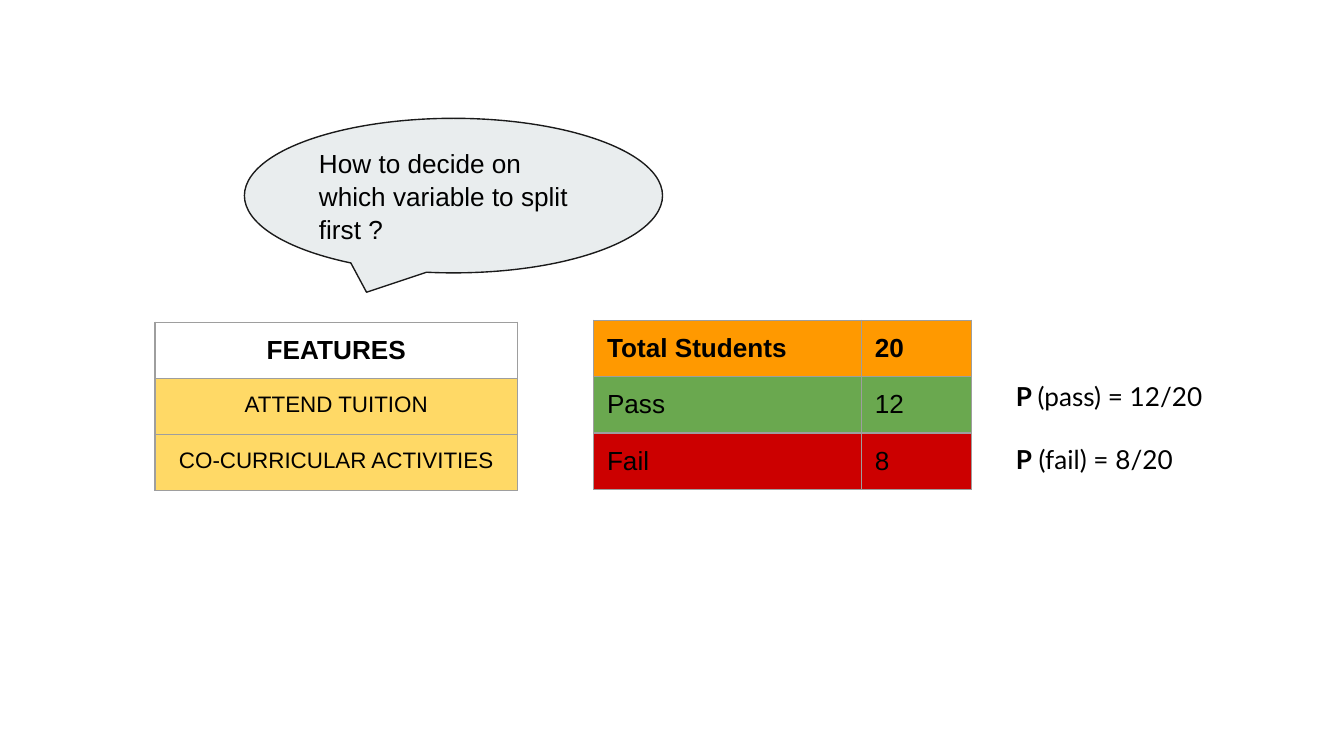
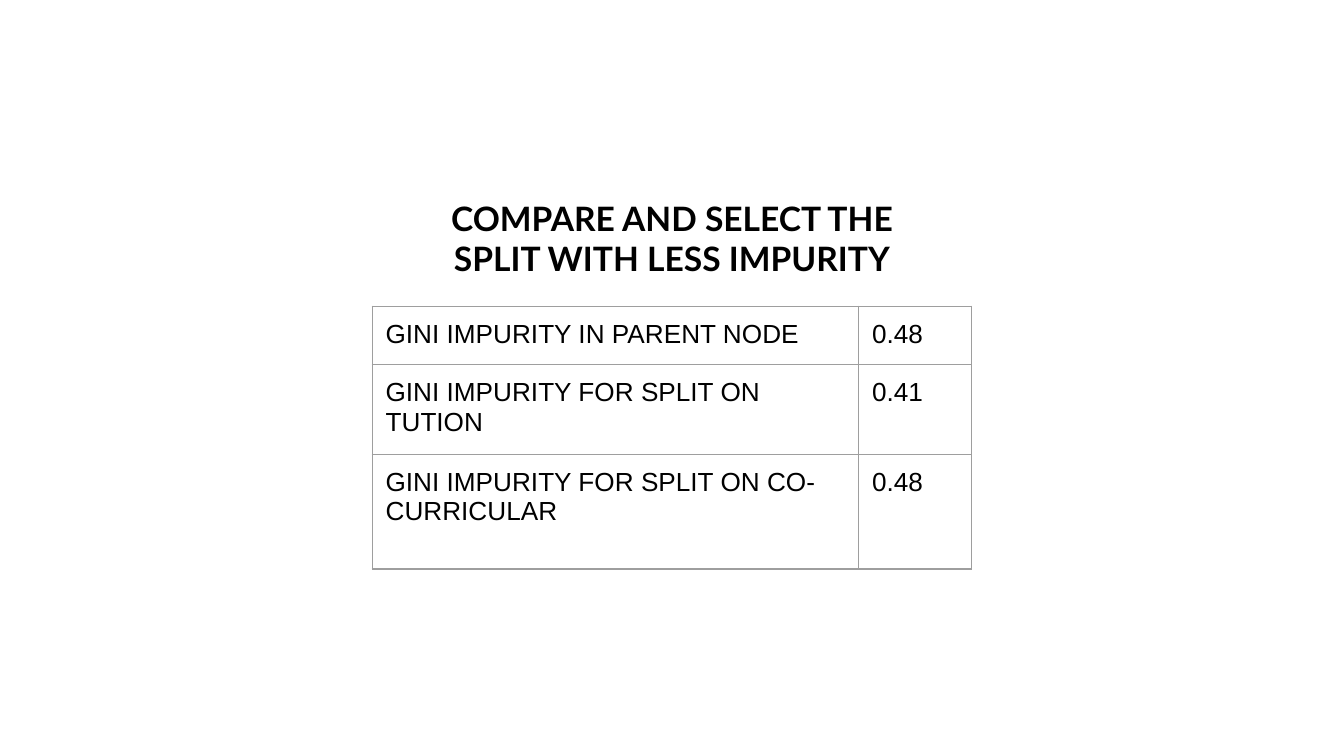
from dataclasses import dataclass
from typing import Optional

from lxml.etree import SubElement as Sub
from pptx import Presentation
from pptx.dml.color import RGBColor
from pptx.enum.shapes import MSO_SHAPE as Shape
from pptx.enum.text import MSO_ANCHOR as Anchor, PP_ALIGN as Align
from pptx.oxml.ns import qn
from pptx.util import Pt

BLACK = "000000"
GREY = "9E9E9E"
GOLD = "FFD966"
PAD = Pt(7.2)
THIN = 0.75


@dataclass
class Row:
    cells: list[str]
    high: float = 30
    fill: Optional[str] = None
    bold: bool = False
    size: float = 14


@dataclass
class Grid:
    left: float
    top: float
    cols: list[float]
    rows: list[Row]
    align: Align = Align.LEFT


def paint(color: str) -> RGBColor:
    return RGBColor.from_string(color)


def write(frame, text: str, *, size: float = 14, font: str = "Arial",
          bold: bool = False, align: Align = Align.LEFT,
          gap: Optional[float] = None, pitch: Optional[float] = None) -> None:
    para = frame.paragraphs[-1] if gap is None else frame.add_paragraph()
    para.alignment = align
    if gap is not None:
        para.space_before = Pt(gap)
    if pitch is not None:
        para.line_spacing = pitch
    run = para.add_run()
    run.text = text
    run.font.size = Pt(size)
    run.font.name = font
    run.font.bold = bold
    run.font.color.rgb = paint(BLACK)


def inset(item) -> None:
    item.margin_left = item.margin_right = PAD
    item.margin_top = item.margin_bottom = PAD


def border(cell) -> None:
    props = cell._tc.get_or_add_tcPr()
    for spot, side in enumerate(("lnL", "lnR", "lnT", "lnB")):
        line = Sub(props, qn(f"a:{side}"), w=str(Pt(THIN)))
        fill = Sub(line, qn("a:solidFill"))
        Sub(fill, qn("a:srgbClr"), val=GREY)
        props.insert(spot, line)


def draw(slide, grid: Grid) -> None:
    high = sum(row.high for row in grid.rows)
    table = slide.shapes.add_table(
        len(grid.rows), len(grid.cols), Pt(grid.left), Pt(grid.top),
        Pt(sum(grid.cols)), Pt(high)).table
    table.first_row = table.horz_banding = False
    for col, wide in zip(table.columns, grid.cols):
        col.width = Pt(wide)
    for line, row in zip(table.rows, grid.rows):
        line.height = Pt(row.high)
        for cell, text in zip(line.cells, row.cells):
            inset(cell)
            if row.fill:
                cell.fill.solid()
                cell.fill.fore_color.rgb = paint(row.fill)
            else:
                cell.fill.background()
            border(cell)
            write(cell.text_frame, text, size=row.size, bold=row.bold,
                  align=grid.align)


def box(slide, left: float, top: float, wide: float, high: float):
    frame = slide.shapes.add_textbox(
        Pt(left), Pt(top), Pt(wide), Pt(high)).text_frame
    frame.word_wrap = True
    inset(frame)
    return frame


def bubble(slide, text: str) -> None:
    shape = slide.shapes.add_shape(
        Shape.OVAL_CALLOUT, Pt(131), Pt(63.4), Pt(224), Pt(82.8))
    shape.shadow.inherit = False
    shape.adjustments[0] = -0.208
    shape.adjustments[1] = 0.625
    shape.fill.solid()
    shape.fill.fore_color.rgb = paint("E9EDEE")
    shape.line.color.rgb = paint("1A1A1A")
    shape.line.width = Pt(THIN)
    frame = shape.text_frame
    frame.word_wrap = True
    frame.vertical_anchor = Anchor.MIDDLE
    inset(frame)
    write(frame, text, pitch=1.05)


def odds(slide) -> None:
    frame = box(slide, 537.1, 196.6, 120.2, 62.6)
    write(frame, "P ", font="Lato", bold=True)
    write(frame, "(pass) = 12/20", font="Lato")
    write(frame, "P", font="Lato", bold=True, gap=17)
    write(frame, " (fail) = 8/20", font="Lato")


def main() -> None:
    deck = Presentation()
    deck.slide_width = Pt(720)
    deck.slide_height = Pt(405)
    blank = deck.slide_layouts[6]

    split = deck.slides.add_slide(blank)
    draw(split, Grid(318, 171.6, [143.5, 59], [
        Row(["Total Students", "20"], fill="FF9900", bold=True),
        Row(["Pass", "12"], fill="6AA84F"),
        Row(["Fail", "8"], fill="CC0000"),
    ]))
    draw(split, Grid(83, 172.6, [194.4], [
        Row(["FEATURES"], bold=True),
        Row(["ATTEND TUITION"], fill=GOLD, size=12),
        Row(["CO-CURRICULAR ACTIVITIES"], fill=GOLD, size=12),
    ], Align.CENTER))
    odds(split)
    bubble(split, "How to decide on which variable to split first ?")

    choice = deck.slides.add_slide(blank)
    draw(choice, Grid(199.4, 164.1, [260.6, 60.5], [
        Row(["GINI IMPURITY IN PARENT NODE", "0.48"]),
        Row(["GINI IMPURITY FOR SPLIT ON TUTION", "0.41"], 46),
        Row(["GINI IMPURITY FOR SPLIT ON CO-CURRICULAR", "0.48"], 61.5),
    ]))
    write(box(choice, 226.8, 98.6, 266.4, 55.4),
          "COMPARE AND SELECT THE SPLIT WITH LESS IMPURITY",
          size=18, font="Lato", bold=True, align=Align.CENTER)

    deck.save("out.pptx")


if __name__ == "__main__":
    main()
